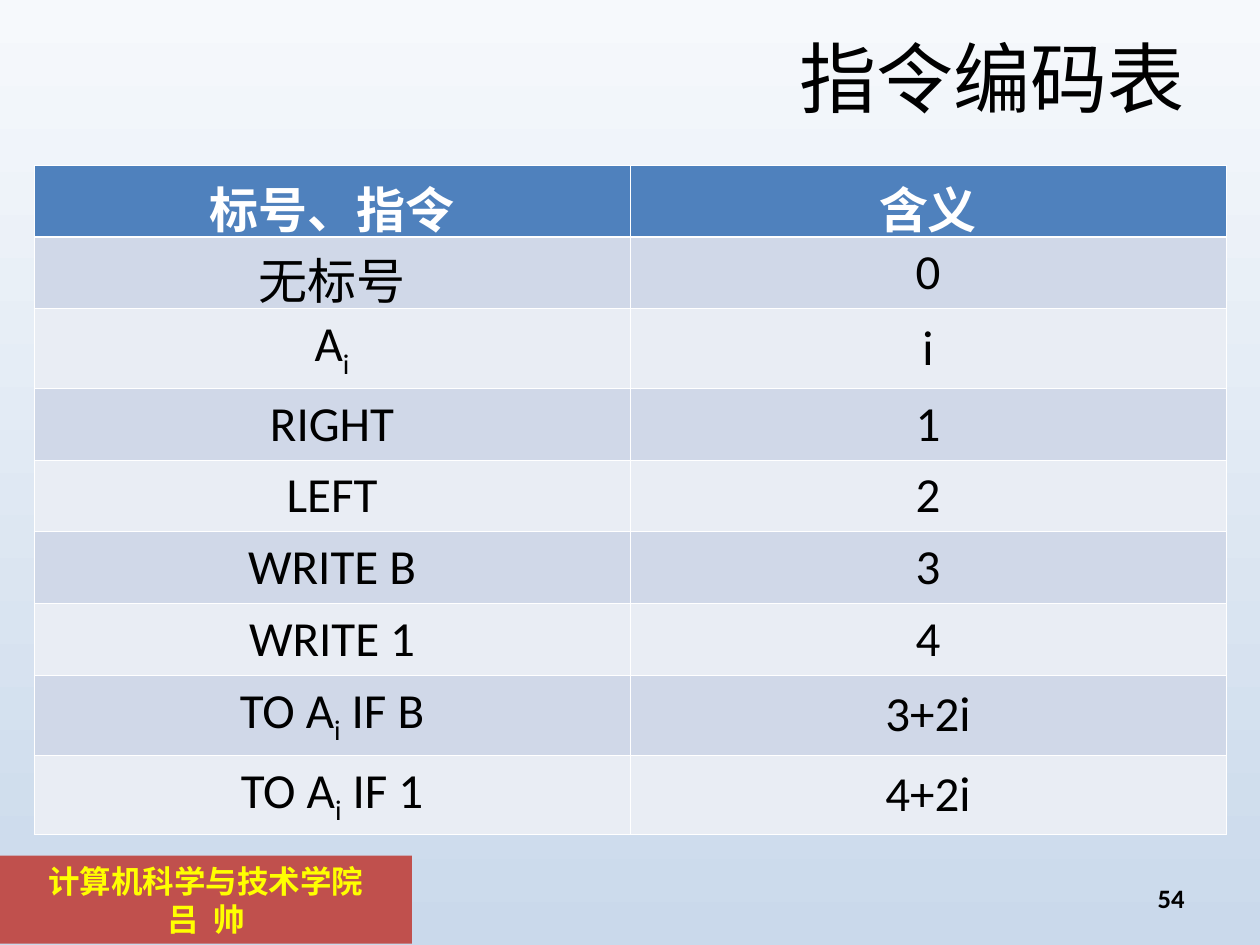
"""Build the instruction encoding table slide."""
from lxml import etree
from pptx import Presentation
from pptx.dml.color import RGBColor
from pptx.enum.shapes import MSO_SHAPE
from pptx.enum.text import MSO_ANCHOR, MSO_AUTO_SIZE, PP_ALIGN
from pptx.oxml.ns import qn
from pptx.util import Inches, Pt

RECT = MSO_SHAPE.RECTANGLE
MIDDLE = MSO_ANCHOR.MIDDLE
NO_FIT = MSO_AUTO_SIZE.NONE
CENTER, RIGHT = PP_ALIGN.CENTER, PP_ALIGN.RIGHT
COLORS = {
    "sky_top": "F6F9FC", "sky_bottom": "CAD9EB", "footer": "C0504D",
    "yellow": "FFFF00", "black": "000000", "white": "FFFFFF",
    "header": "4F81BD", "band_dark": "D0D8E8", "band_light": "E9EDF4",
}
ROWS = [
    (["标号、指令"], "含义", 0.57),
    (["无标号"], "0", 0.57),
    (["A", "i"], "i", 0.63),
    (["RIGHT"], "1", 0.57),
    (["LEFT"], "2", 0.57),
    (["WRITE B"], "3", 0.57),
    (["WRITE 1"], "4", 0.57),
    (["TO A", "i", " IF B"], "3+2i", 0.63),
    (["TO A", "i", " IF 1"], "4+2i", 0.63),
]


def color(name):
    return RGBColor.from_string(COLORS[name])


def style(p, size, name, align, bold=False, face="Calibri"):
    p.alignment = align
    p.font.size = Pt(size)
    p.font.name = face
    p.font.bold = bold
    p.font.color.rgb = color(name)


prs = Presentation()
prs.slide_width, prs.slide_height = Inches(10), Inches(7.5)
s = prs.slides.add_slide(prs.slide_layouts[5])

fill = s.background.fill
fill.gradient()
fill.gradient_angle = 270
for stop, name in zip(fill.gradient_stops, ("sky_top", "sky_bottom")):
    stop.color.rgb = color(name)

title = s.shapes.title
title.left, title.top = Inches(0.5), Inches(0.3)
title.width, title.height = Inches(9), Inches(0.61)
tf = title.text_frame
tf.text = "指令编码表"
tf.auto_size = NO_FIT
tf.vertical_anchor = MIDDLE
style(tf.paragraphs[0], 44, "black", RIGHT)

footer = s.shapes.add_shape(RECT, 0, Inches(6.79), Inches(3.27), Inches(0.7))
footer.shadow.inherit = False
footer.fill.solid()
footer.fill.fore_color.rgb = color("footer")
footer.line.fill.background()
tf = footer.text_frame
tf.vertical_anchor = MIDDLE
tf.text = "计算机科学与技术学院\n吕  帅"
for p in tf.paragraphs:
    style(p, 18, "yellow", CENTER, True, "Arial")

number = s.shapes.add_textbox(Inches(7.17), Inches(6.95), Inches(2.33), Inches(0.4))
tf = number.text_frame
tf.word_wrap = True
tf.vertical_anchor = MIDDLE
tf.text = "54"
p = tf.paragraphs[0]
p.line_spacing = 0.8
style(p, 15.2, "black", RIGHT, True)

table = s.shapes.add_table(len(ROWS), 2, Inches(0.27), Inches(1.31),
                           Inches(9.46), Inches(5.31)).table
for i, (label, meaning, height) in enumerate(ROWS):
    table.rows[i].height = Inches(height)
    band = "header" if i == 0 else "band_dark" if i % 2 else "band_light"
    for cell, parts in zip(table.rows[i].cells, (label, [meaning])):
        cell.vertical_anchor = MIDDLE
        p = cell.text_frame.paragraphs[0]
        style(p, 28, "black" if i else "white", CENTER, i == 0)
        for j, part in enumerate(parts):
            r = p.add_run()
            r.text = part
            if j == 1:
                r.font._element.set("baseline", "-25000")
        tcPr = cell._tc.get_or_add_tcPr()
        for side in ("lnL", "lnR", "lnT", "lnB"):
            thick = (i, side) in ((0, "lnB"), (1, "lnT"))
            ln = etree.SubElement(tcPr, qn("a:" + side), w=str(Pt(1.47 if thick else 0.45)))
            line_fill = etree.SubElement(ln, qn("a:solidFill"))
            etree.SubElement(line_fill, qn("a:srgbClr"), val=COLORS["white"])
        cell.fill.solid()
        cell.fill.fore_color.rgb = color(band)

prs.save("out.pptx")
